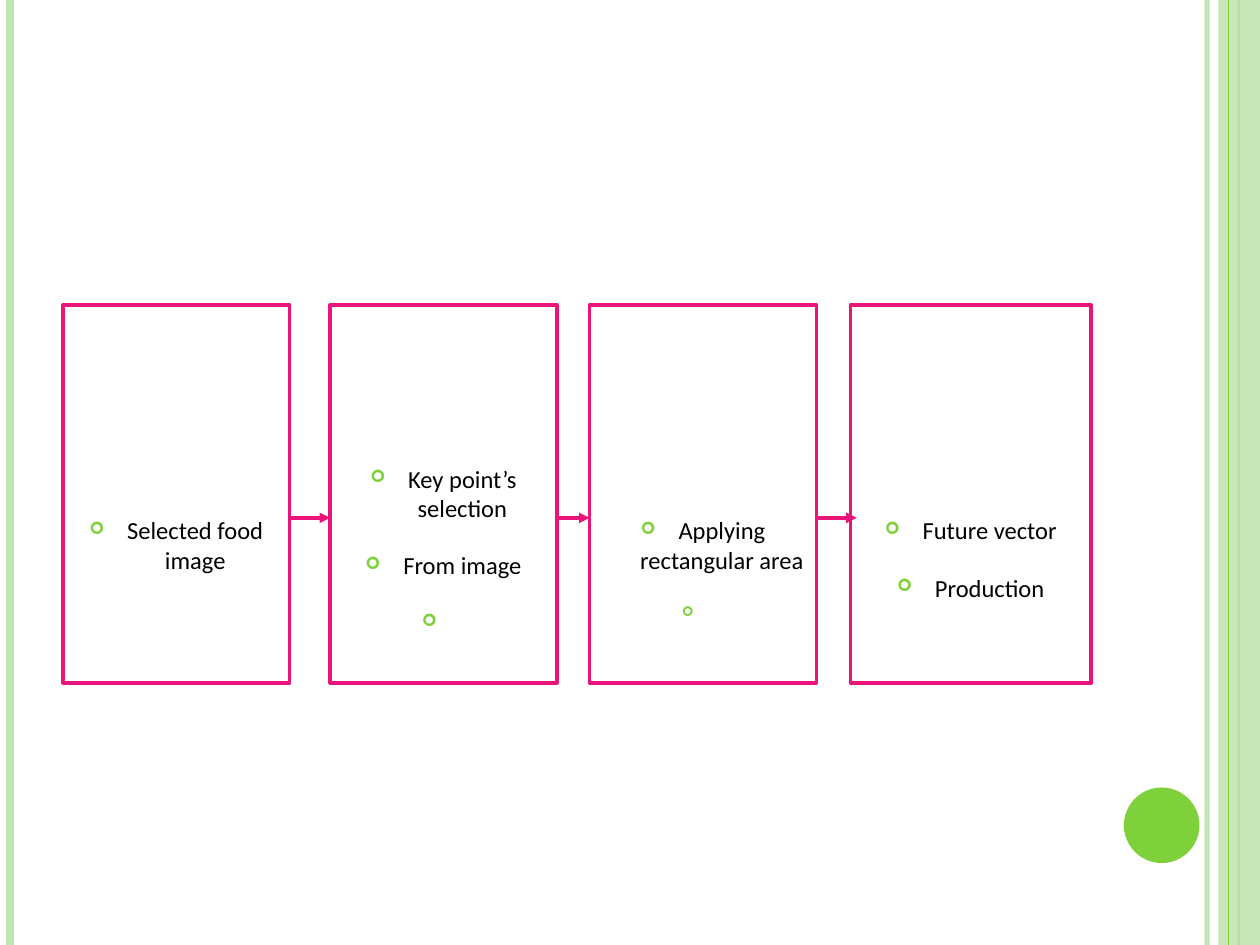
from dataclasses import dataclass

from lxml import etree
from pptx import Presentation
from pptx.dml.color import RGBColor
from pptx.enum.shapes import MSO_CONNECTOR, MSO_SHAPE
from pptx.enum.text import MSO_ANCHOR, PP_ALIGN
from pptx.oxml.ns import qn
from pptx.util import Inches, Pt

STRAIGHT = MSO_CONNECTOR.STRAIGHT
RECTANGLE, OVAL = MSO_SHAPE.RECTANGLE, MSO_SHAPE.OVAL
TOP, CENTER = MSO_ANCHOR.TOP, PP_ALIGN.CENTER

COLORS = {
    "green": "7FD13B",
    "pale_green": "C0E5AF",
    "pink": "EA157A",
    "white": "FFFFFF",
    "black": "000000",
}
SLIDE_WIDTH, SLIDE_HEIGHT = 10, 7.5
STEP_TOP, STEP_HEIGHT = 2.42, 3
ARROW_Y = 4.11
BULLET_INDENT = 0.3


@dataclass
class Item:
    text: str
    size: int = 14


@dataclass
class Step:
    left: float
    width: float
    text_top: float
    items: list[Item]


@dataclass
class Rule:
    x: float
    color: str
    weight: float
    opacity: int = 100


STEPS = [
    Step(0.5, 1.8, 1.67, [Item("Selected food image")]),
    Step(2.62, 1.8, 1.26,
         [Item("Key point’s selection"), Item("From image"), Item(" ")]),
    Step(4.68, 1.8, 1.67, [Item("Applying rectangular area"), Item(" ", 11)]),
    Step(6.75, 1.91, 1.67, [Item("Future vector"), Item("Production")]),
]
ARROW_ENDS = [2.62, 4.68, 6.8]

RULES_BEHIND_BAND = [
    Rule(9.58, "pale_green", 3, 93),
    Rule(0.08, "pale_green", 4.5),
    Rule(9.83, "green", 1.5),
]
RULE_ON_BAND = Rule(9.75, "green", 0.75)


def rgb(color: str) -> RGBColor:
    return RGBColor.from_string(COLORS[color])


def set_opacity(element, percent: int) -> None:
    """Make the first solid colour below the element partly transparent."""
    color = element.find(".//" + qn("a:srgbClr"))
    etree.SubElement(color, qn("a:alpha"), val=str(percent * 1000))


def add_line(slide, start: tuple[float, float], end: tuple[float, float],
             color: str, weight: float):
    line = slide.shapes.add_connector(
        STRAIGHT, *(Inches(value) for value in (*start, *end)))
    line.line.color.rgb = rgb(color)
    line.line.width = Pt(weight)
    etree.SubElement(line._element.spPr, qn("a:effectLst"))
    return line


def add_rule(slide, rule: Rule) -> None:
    line = add_line(slide, (rule.x, 0), (rule.x, SLIDE_HEIGHT),
                    rule.color, rule.weight)
    if rule.opacity < 100:
        set_opacity(line._element.spPr, rule.opacity)


def add_filled(slide, kind, left: float, top: float, width: float,
               height: float, color: str):
    shape = slide.shapes.add_shape(
        kind, *(Inches(value) for value in (left, top, width, height)))
    shape.shadow.inherit = False
    shape.fill.solid()
    shape.fill.fore_color.rgb = rgb(color)
    shape.line.fill.background()
    return shape


def add_ring_bullet(paragraph) -> None:
    properties = paragraph._p.get_or_add_pPr()
    properties.set("marL", str(Inches(BULLET_INDENT)))
    properties.set("indent", str(-Inches(BULLET_INDENT)))
    color = etree.SubElement(properties, qn("a:buClr"))
    etree.SubElement(color, qn("a:srgbClr"), val=COLORS["green"])
    etree.SubElement(properties, qn("a:buSzPct"), val="70000")
    etree.SubElement(properties, qn("a:buFont"), typeface="Wingdings",
                     charset="2")
    etree.SubElement(properties, qn("a:buChar"), char="¢")


def add_step(slide, step: Step) -> None:
    box = add_filled(slide, RECTANGLE, step.left, STEP_TOP, step.width,
                     STEP_HEIGHT, "white")
    box.line.color.rgb = rgb("pink")
    box.line.width = Pt(2)
    frame = box.text_frame
    frame.word_wrap = True
    frame.vertical_anchor = TOP
    frame.margin_top = Inches(step.text_top)
    for index, item in enumerate(step.items):
        paragraph = frame.add_paragraph() if index else frame.paragraphs[0]
        paragraph.text = item.text
        paragraph.alignment = CENTER
        paragraph.space_before = Pt(6 if index else 0)
        paragraph.space_after = Pt(10)
        add_ring_bullet(paragraph)
        paragraph.font.name = "Calibri"
        paragraph.font.size = Pt(item.size)
        paragraph.font.color.rgb = rgb("black")


def add_arrow(slide, start_x: float, end_x: float) -> None:
    arrow = add_line(slide, (start_x, ARROW_Y), (end_x, ARROW_Y), "pink", 2)
    etree.SubElement(arrow.line._get_or_add_ln(), qn("a:tailEnd"),
                     type="triangle")


def main() -> None:
    presentation = Presentation()
    presentation.slide_width = Inches(SLIDE_WIDTH)
    presentation.slide_height = Inches(SLIDE_HEIGHT)
    slide = presentation.slides.add_slide(presentation.slide_layouts[6])

    for rule in RULES_BEHIND_BAND:
        add_rule(slide, rule)
    band = add_filled(slide, RECTANGLE, 9.67, 0, 0.33, SLIDE_HEIGHT,
                      "pale_green")
    set_opacity(band._element.spPr, 87)
    add_rule(slide, RULE_ON_BAND)
    add_filled(slide, OVAL, 8.92, 6.25, 0.6, 0.6, "green")

    for step in STEPS:
        add_step(slide, step)
    for step, end_x in zip(STEPS, ARROW_ENDS):
        add_arrow(slide, step.left + step.width, end_x)

    presentation.save("out.pptx")


if __name__ == "__main__":
    main()
